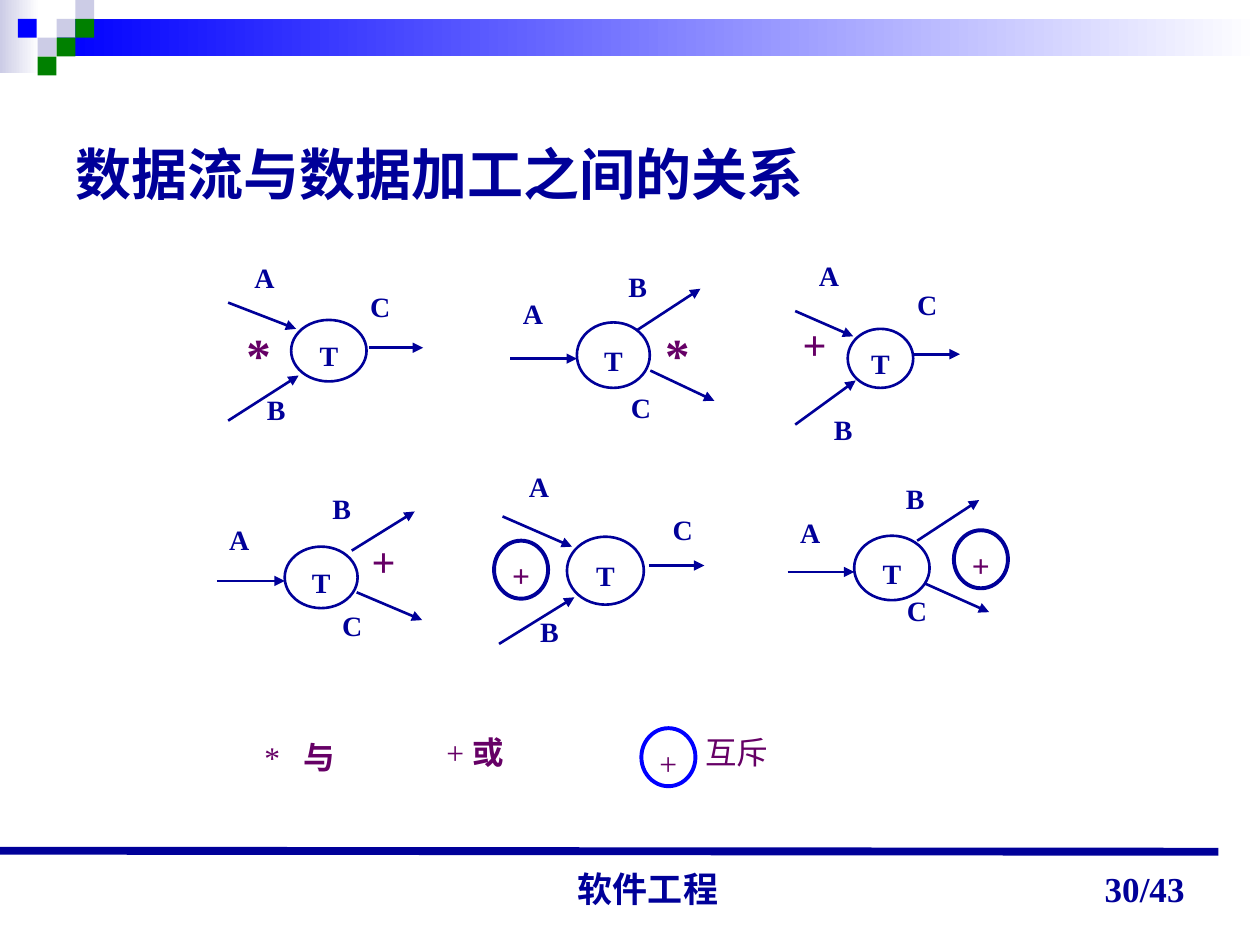
import dataclasses

import lxml.etree
import pptx
import pptx.dml.color
import pptx.enum.shapes
import pptx.enum.text
import pptx.oxml.ns
import pptx.util

Cm = pptx.util.Cm
Pt = pptx.util.Pt
qn = pptx.oxml.ns.qn
Align = pptx.enum.text.PP_ALIGN
Anchor = pptx.enum.text.MSO_ANCHOR
AutoSize = pptx.enum.text.MSO_AUTO_SIZE
ShapeType = pptx.enum.shapes.MSO_SHAPE


@dataclasses.dataclass(frozen=True)
class Theme:
    navy: str = "000099"
    blue: str = "0000FF"
    purple: str = "660066"
    green: str = "008000"
    lavender: str = "CCCCE6"
    white: str = "FFFFFF"
    serif: str = "Times New Roman"
    sans: str = "Arial"
    title: float = 32
    footer: float = 20
    label: float = 16
    star: float = 28
    plus: float = 24
    legend: float = 18
    thin: float = 1.5
    ring: float = 2.25
    rule: float = 4.5
    spacing: float = 1.3


THEME = Theme()
SQUARE = 0.38
RING_SIZE = (1.09, 1.17)
LABEL_HEIGHT = 1.14
SYMBOL_STYLES = {"*": (THEME.star, 1.8), "+": (THEME.plus, 1.57)}

SQUARES = [
    (1.14, 1, THEME.lavender), (1.52, 0, THEME.lavender),
    (1.52, 1, THEME.green), (0.76, 2, THEME.lavender),
    (0.36, 1, THEME.blue), (1.14, 2, THEME.green), (0.76, 3, THEME.green),
]


@dataclasses.dataclass(frozen=True)
class Diagram:
    process: tuple
    arrows: list
    labels: dict
    symbol: tuple = None
    ring: tuple = None


DIAGRAMS = [
    Diagram((5.87, 6.45, 1.52, 1.24),
            [(4.6, 6.1, 5.97, 6.63), (4.6, 8.48, 6.02, 7.57), (7.44, 7.01, 8.53, 7.01)],
            {"A": (4.88, 4.93, 1.47), "B": (5.13, 7.59, 1.96), "C": (7.21, 5.51, 0.84)},
            symbol=("*", 4.72, 6.07, 1.3)),
    Diagram((11.63, 6.5, 1.47, 1.32),
            [(13.11, 7.47, 14.4, 8.08), (12.85, 6.65, 14.12, 5.82), (10.29, 7.23, 11.63, 7.23)],
            {"A": (10.29, 5.66, 1.42), "B": (12.42, 5.11, 1.88), "C": (12.47, 7.54, 1.22)},
            symbol=("*", 13.16, 6.07, 1.24)),
    Diagram((17.09, 6.63, 1.32, 1.19),
            [(16.03, 6.27, 17.2, 6.78), (16.03, 8.56, 17.25, 7.67), (18.42, 7.14, 19.35, 7.14)],
            {"A": (16.26, 4.88, 1.27), "B": (16.56, 7.98, 1.68), "C": (18.24, 5.46, 1.07)},
            symbol=("+", 15.93, 5.99, 1.12)),
    Diagram((5.74, 11.02, 1.47, 1.24),
            [(7.19, 11.94, 8.51, 12.5), (7.09, 11.1, 8.36, 10.31), (4.37, 11.71, 5.74, 11.71)],
            {"A": (4.37, 10.21, 1.42), "B": (6.45, 9.58, 1.88), "C": (6.65, 11.94, 1.22)},
            symbol=("+", 7.24, 10.36, 1.27)),
    Diagram((11.43, 10.82, 1.55, 1.37),
            [(10.13, 10.41, 11.53, 11.02), (10.06, 12.98, 11.58, 12.04), (13.08, 11.4, 14.2, 11.4)],
            {"A": (10.41, 9.14, 1.5), "B": (10.64, 12.07, 1.98), "C": (13.31, 10.01, 1.3)},
            ring=(9.96, 10.9)),
    Diagram((17.22, 10.8, 1.52, 1.3),
            [(18.64, 11.76, 19.94, 12.34), (18.49, 10.9, 19.74, 10.08), (15.88, 11.53, 17.22, 11.53)],
            {"A": (15.88, 10.06, 1.4), "B": (18.01, 9.37, 1.83), "C": (18.03, 11.63, 1.19)},
            ring=(19.23, 10.69)),
]


def rgb(color):
    return pptx.dml.color.RGBColor.from_string(color)


def lengths(values):
    return [Cm(value) for value in values]


def format_run(run, size, color, bold=True, font=THEME.serif):
    run.font.name = font
    run.font.size = Pt(size)
    run.font.bold = bold
    run.font.color.rgb = rgb(color)


def add_rectangle(shapes, box, color, end_color=None):
    shape = shapes.add_shape(ShapeType.RECTANGLE, *lengths(box))
    shape.shadow.inherit = False
    shape.line.fill.background()
    if end_color:
        shape.fill.gradient()
        shape.fill.gradient_angle = 0
        for stop, position, shade in zip(shape.fill.gradient_stops, (0, 1), (color, end_color)):
            stop.position = position
            stop.color.rgb = rgb(shade)
    else:
        shape.fill.solid()
        shape.fill.fore_color.rgb = rgb(color)


def add_line(shapes, ends, width, arrow=False):
    connector = shapes.add_connector(pptx.enum.shapes.MSO_CONNECTOR.STRAIGHT, *lengths(ends))
    connector.line.color.rgb = rgb(THEME.navy)
    connector.line.width = Pt(width)
    properties = connector._element.spPr
    if arrow:
        lxml.etree.SubElement(properties.find(qn("a:ln")), qn("a:tailEnd"), type="triangle")
    lxml.etree.SubElement(properties, qn("a:effectLst"))


def add_circle(shapes, box, text, size, color, line_color=THEME.navy, width=THEME.ring, bold=True):
    shape = shapes.add_shape(ShapeType.OVAL, *lengths(box))
    shape.shadow.inherit = False
    shape.fill.background()
    shape.line.color.rgb = rgb(line_color)
    shape.line.width = Pt(width)
    frame = shape.text_frame
    frame.word_wrap = False
    frame.vertical_anchor = Anchor.MIDDLE
    frame.text = text
    paragraph = frame.paragraphs[0]
    paragraph.alignment = Align.CENTER
    paragraph.line_spacing = THEME.spacing
    format_run(paragraph.runs[0], size, color, bold)


def add_text(shapes, box, runs, size, color, font=THEME.serif, align=Align.LEFT,
             anchor=Anchor.TOP, spacing=None, tab=None):
    frame = shapes.add_textbox(*lengths(box)).text_frame
    frame.word_wrap = True
    frame.vertical_anchor = anchor
    paragraph = frame.paragraphs[0]
    paragraph.alignment = align
    if spacing:
        paragraph.line_spacing = spacing
    if tab:
        tabs = lxml.etree.SubElement(paragraph._p.get_or_add_pPr(), qn("a:tabLst"))
        lxml.etree.SubElement(tabs, qn("a:tab"), pos=str(Cm(tab)), algn="l")
    for text, bold in runs:
        run = paragraph.add_run()
        run.text = text
        format_run(run, size, color, bold, font)


def add_header(shapes):
    add_rectangle(shapes, (0, 0, 0.79, 1.47), THEME.lavender, THEME.white)
    add_rectangle(shapes, (1.14, SQUARE, 24.26, 0.76), THEME.blue, THEME.white)
    for left, row, color in SQUARES:
        add_rectangle(shapes, (left, row * SQUARE, SQUARE, SQUARE), color)


def add_footer(shapes):
    add_line(shapes, (0, 17.15, 24.56, 17.17), THEME.rule)
    add_text(shapes, (9.04, 17.42, 8.05, 1.04), [("软件工程", True)], THEME.footer,
             THEME.navy, THEME.sans, Align.CENTER, Anchor.BOTTOM)
    add_text(shapes, (18.21, 17.2, 5.92, 1.27), [("30/43", True)], THEME.footer,
             THEME.navy, align=Align.RIGHT, anchor=Anchor.BOTTOM)


def format_title(title, text):
    title.left, title.top, title.width, title.height = lengths((1.27, 2.69, 21.59, 2.59))
    frame = title.text_frame
    frame.auto_size = AutoSize.NONE
    frame.vertical_anchor = Anchor.TOP
    frame.text = text
    frame.paragraphs[0].alignment = Align.LEFT
    format_run(frame.paragraphs[0].runs[0], THEME.title, THEME.navy)


def add_diagram(shapes, diagram):
    add_circle(shapes, diagram.process, "T", THEME.label, THEME.navy, width=THEME.thin)
    for ends in diagram.arrows:
        add_line(shapes, ends, THEME.thin, arrow=True)
    for text, box in diagram.labels.items():
        add_text(shapes, (*box, LABEL_HEIGHT), [(text, True)], THEME.label,
                 THEME.navy, spacing=THEME.spacing)
    if diagram.symbol:
        text, *box = diagram.symbol
        size, height = SYMBOL_STYLES[text]
        add_text(shapes, (*box, height), [(text, True)], size, THEME.purple, spacing=THEME.spacing)
    if diagram.ring:
        add_circle(shapes, diagram.ring + RING_SIZE, "+", THEME.legend, THEME.purple)


def add_legend(shapes):
    add_text(shapes, (5.08, 14.63, 2.87, 1.14), [("*\t", False), ("与", True)],
             THEME.legend, THEME.purple, spacing=1.15, tab=0.79)
    add_text(shapes, (8.75, 14.43, 2.84, 1.24), [("+ ", False), ("或", True)],
             THEME.legend, THEME.purple, spacing=THEME.spacing)
    add_text(shapes, (13.97, 14.43, 3, 1.24), [("互斥", False)],
             THEME.legend, THEME.purple, spacing=THEME.spacing)
    add_circle(shapes, (12.93, 14.68) + RING_SIZE, "+", THEME.legend, THEME.purple,
               THEME.blue, bold=False)


def main():
    presentation = pptx.Presentation()
    presentation.slide_width, presentation.slide_height = Cm(25.4), Cm(19.05)
    slide = presentation.slides.add_slide(presentation.slide_layouts[5])
    add_header(slide.shapes.add_group_shape().shapes)
    add_footer(slide.shapes)
    format_title(slide.shapes.title, "数据流与数据加工之间的关系")
    diagrams = slide.shapes.add_group_shape().shapes
    for diagram in DIAGRAMS:
        add_diagram(diagrams, diagram)
    add_legend(slide.shapes.add_group_shape().shapes)
    presentation.save("out.pptx")


if __name__ == "__main__":
    main()
